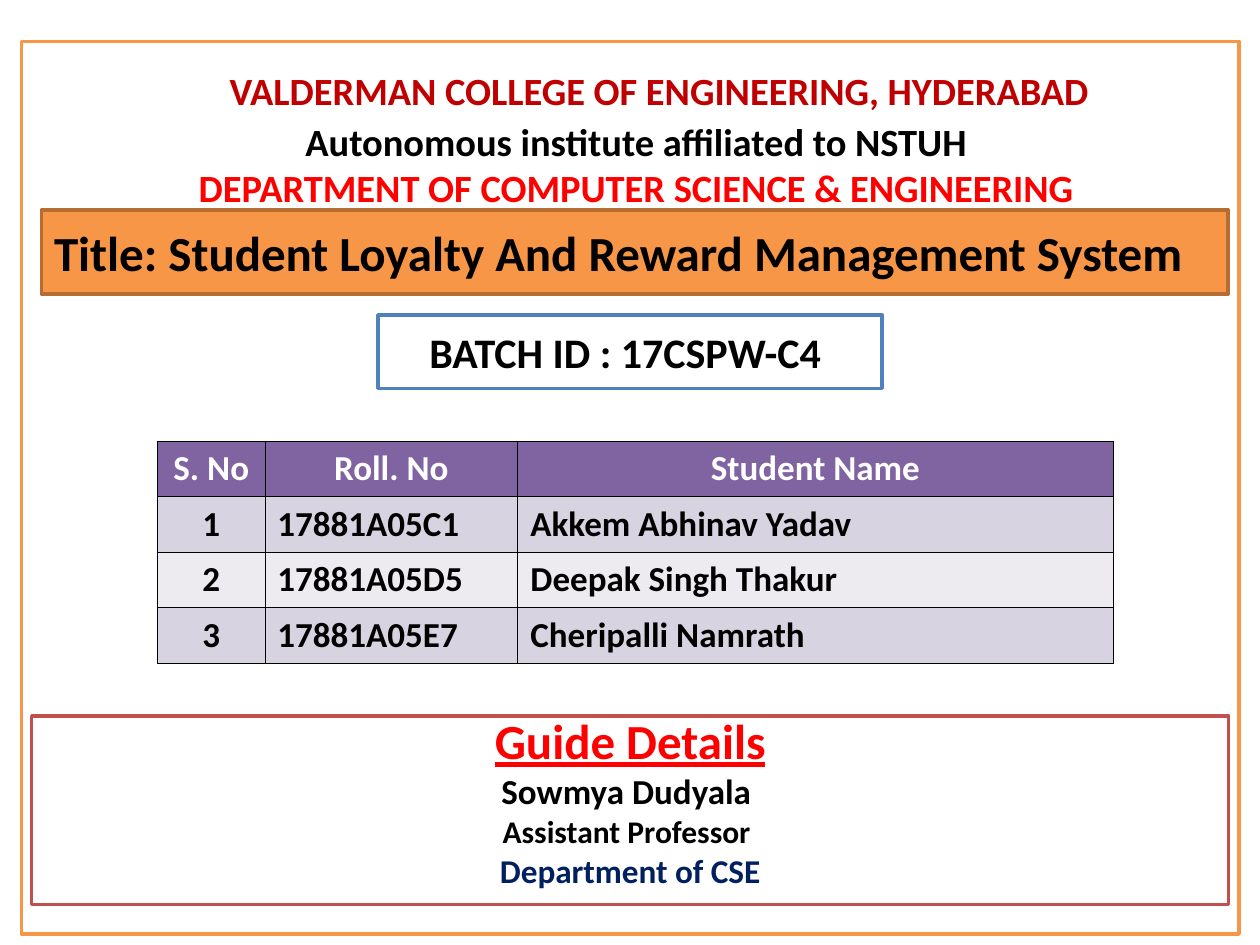
from dataclasses import dataclass

from lxml import etree
from pptx import Presentation
from pptx import util as u
from pptx.dml.color import RGBColor
from pptx.enum import shapes, text
from pptx.oxml import ns


@dataclass(frozen=True)
class Theme:
    font: str = "Calibri"
    white: str = "FFFFFF"
    black: str = "000000"
    orange: str = "F79646"
    brown: str = "B66D31"
    blue: str = "4F81BD"
    brick: str = "C0504D"
    crimson: str = "C00000"
    red: str = "FF0000"
    navy: str = "002060"
    header: str = "8064A2"
    bands: tuple = ("D8D3E0", "EDEAF0")
    heading: float = 22
    banner: float = 28
    batch: float = 24
    body: float = 20
    role: float = 18
    department: float = 19


theme = Theme()
CENTER = text.PP_ALIGN.CENTER
LEFT = text.PP_ALIGN.LEFT


def add_box(s, left, top, width, height, fill, line):
    sp = s.shapes.add_shape(shapes.MSO_SHAPE.RECTANGLE,
                            u.Cm(left), u.Cm(top), u.Cm(width), u.Cm(height))
    sp.shadow.inherit = False
    sp.fill.solid()
    sp.fill.fore_color.rgb = RGBColor.from_string(fill)
    sp.line.color.rgb = RGBColor.from_string(line)
    sp.line.width = u.Pt(2)
    sp.text_frame.word_wrap = True
    return sp


def write(p, words, size, color, align=CENTER):
    p.text = words
    p.alignment = align
    p.font.name = theme.font
    p.font.size = u.Pt(size)
    p.font.bold = True
    p.font.color.rgb = RGBColor.from_string(color)


prs = Presentation()
prs.slide_width, prs.slide_height = u.Cm(25.4), u.Cm(19.05)
s = prs.slides.add_slide(prs.slide_layouts[5])

frame = add_box(s, 0.43, 0.84, 24.55, 17.99, theme.white, theme.orange)

title = s.shapes.title
frame.element.addnext(title.element)
title.left, title.top = u.Cm(2.75), u.Cm(1.9)
title.width, title.height = u.Cm(20.32), u.Cm(2.33)
tf = title.text_frame
tf.auto_size = text.MSO_AUTO_SIZE.NONE
tf.vertical_anchor = text.MSO_ANCHOR.MIDDLE
tf.margin_bottom = u.Cm(1.02)
headings = [
    ("VALDERMAN COLLEGE OF ENGINEERING, HYDERABAD", theme.crimson, 0.76),
    ("Autonomous institute affiliated to NSTUH ", theme.black, 0),
    ("DEPARTMENT OF COMPUTER SCIENCE & ENGINEERING ", theme.red, 0),
]
for i, (words, color, indent) in enumerate(headings):
    p = tf.paragraphs[0] if i == 0 else tf.add_paragraph()
    write(p, words, theme.heading, color)
    p.space_before = u.Pt(0)
    pPr = p._p.get_or_add_pPr()
    pPr.set("marL", str(u.Cm(indent)))
    pPr.set("indent", "0")
college = tf.paragraphs[0]
college.line_spacing = u.Pt(36.4)
college.space_after = u.Pt(2.7)

guide = add_box(s, 0.64, 14.43, 24.13, 3.81, theme.white, theme.brick)
tf = guide.text_frame
tf.vertical_anchor = text.MSO_ANCHOR.TOP
guide_lines = [
    ("Guide Details", theme.banner, theme.red, 7),
    ("Sowmya Dudyala ", theme.body, theme.black, 5),
    ("Assistant Professor ", theme.role, theme.black, 4.5),
    ("Department of CSE", theme.department, theme.navy, 4.8),
]
for i, (words, size, color, before) in enumerate(guide_lines):
    p = tf.paragraphs[0] if i == 0 else tf.add_paragraph()
    write(p, words, size, color)
    p.line_spacing = 0.8
    p.space_before = u.Pt(before)
tf.paragraphs[0].runs[0].font.underline = True

batch = add_box(s, 7.62, 6.35, 10.16, 1.48, theme.white, theme.blue)
write(batch.text_frame.paragraphs[0], "BATCH ID : 17CSPW-C4 ", theme.batch, theme.black)

banner = add_box(s, 0.84, 4.23, 23.92, 1.7, theme.orange, theme.brown)
write(banner.text_frame.paragraphs[0],
      "Title: Student Loyalty And Reward Management System",
      theme.banner, theme.black, LEFT)

rows = [
    ("S. No", "Roll. No", "Student Name"),
    ("1", "17881A05C1", "Akkem Abhinav Yadav"),
    ("2", "17881A05D5", "Deepak Singh Thakur"),
    ("3", "17881A05E7", "Cheripalli Namrath"),
]
widths = (2.16, 5.1, 12)
row_height = 1.12
students = s.shapes.add_table(len(rows), len(widths), u.Cm(3.18), u.Cm(8.89),
                              u.Cm(sum(widths)), u.Cm(row_height * len(rows))).table
for column, width in zip(students.columns, widths):
    column.width = u.Cm(width)
for r, row in enumerate(rows):
    students.rows[r].height = u.Cm(row_height)
    fill = theme.bands[(r - 1) % 2] if r else theme.header
    for c, words in enumerate(row):
        cell = students.cell(r, c)
        write(cell.text_frame.paragraphs[0], words, theme.body,
              theme.black if r else theme.white,
              LEFT if r and c else CENTER)
        tcPr = cell._tc.get_or_add_tcPr()
        for side in ("lnL", "lnR", "lnT", "lnB"):
            ln = etree.SubElement(tcPr, ns.qn(f"a:{side}"), w=str(u.Pt(0.45)))
            solid = etree.SubElement(ln, ns.qn("a:solidFill"))
            etree.SubElement(solid, ns.qn("a:srgbClr"), val=theme.black)
        cell.fill.solid()
        cell.fill.fore_color.rgb = RGBColor.from_string(fill)

prs.save("out.pptx")
